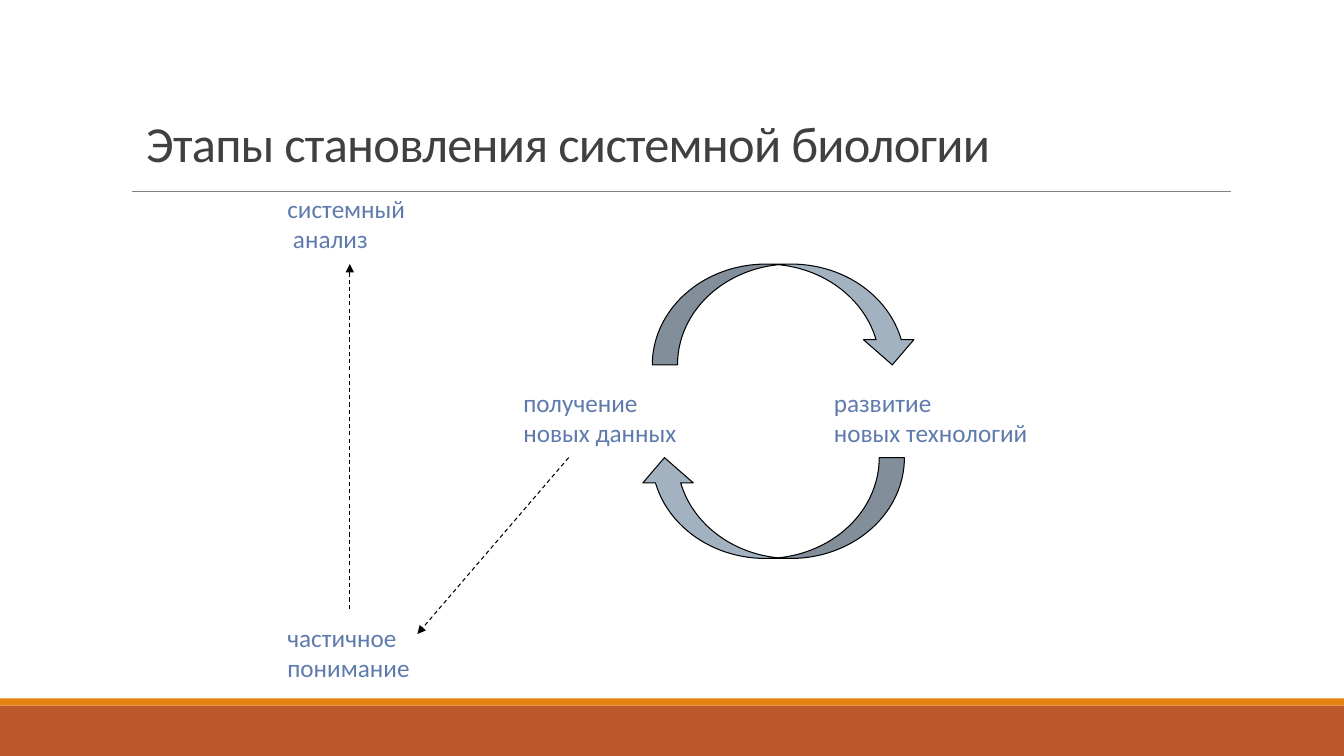
from dataclasses import dataclass

from lxml import etree
from pptx import Presentation
from pptx.dml.color import RGBColor
from pptx.enum.dml import MSO_LINE
from pptx.enum.shapes import MSO_CONNECTOR, MSO_SHAPE
from pptx.enum.text import MSO_ANCHOR, MSO_AUTO_SIZE, PP_ALIGN
from pptx.oxml.ns import qn
from pptx.util import Inches, Pt

RECT = MSO_SHAPE.RECTANGLE
CURVED_ARROW = MSO_SHAPE.CURVED_DOWN_ARROW
STRAIGHT = MSO_CONNECTOR.STRAIGHT
DASH = MSO_LINE.DASH
BOTTOM, TOP = MSO_ANCHOR.BOTTOM, MSO_ANCHOR.TOP
LEFT = PP_ALIGN.LEFT
FIT_SHAPE, NO_FIT = MSO_AUTO_SIZE.SHAPE_TO_FIT_TEXT, MSO_AUTO_SIZE.NONE
TITLE_ONLY = 5


@dataclass(frozen=True)
class Theme:
    font: str = "Calibri"
    title_size: float = 36
    label_size: float = 18
    title: str = "404040"
    label: str = "5F7BAE"
    band: str = "BD582C"
    stripe: str = "E48312"
    rule: str = "808080"
    arrow: str = "A3B2C1"
    outline: str = "000000"
    rule_width: float = 0.5
    line_width: float = 0.75


THEME = Theme()


def rgb(value):
    return RGBColor.from_string(value)


def add_run(p, text, size, color):
    r = p.add_run()
    r.text = text
    r.font.name = THEME.font
    r.font.size = Pt(size)
    r.font.color.rgb = rgb(color)
    return r


def add_bar(s, x, y, w, h, color):
    sp = s.shapes.add_shape(RECT, Inches(x), Inches(y), Inches(w), Inches(h))
    sp.shadow.inherit = False
    sp.fill.solid()
    sp.fill.fore_color.rgb = rgb(color)
    sp.line.fill.background()


def add_line(s, start, end, color, width):
    ends = [Inches(v) for v in (*start, *end)]
    line = s.shapes.add_connector(STRAIGHT, *ends)
    line.line.color.rgb = rgb(color)
    line.line.width = Pt(width)
    etree.SubElement(line._element.spPr, qn("a:effectLst"))
    return line


def add_dashed_arrow(s, start, end):
    line = add_line(s, start, end, THEME.outline, THEME.line_width)
    line.line.dash_style = DASH
    ln = line.line._get_or_add_ln()
    etree.SubElement(ln, qn("a:tailEnd"), type="triangle")


def add_label(s, x, y, w, lines):
    sp = s.shapes.add_textbox(Inches(x), Inches(y), Inches(w), Inches(0.71))
    tf = sp.text_frame
    tf.margin_left = tf.margin_right = Inches(0.05)
    tf.margin_top = tf.margin_bottom = Inches(0.05)
    tf.vertical_anchor = TOP
    tf.word_wrap = False
    tf.auto_size = FIT_SHAPE
    for i, text in enumerate(lines):
        p = tf.add_paragraph() if i else tf.paragraphs[0]
        p.alignment = LEFT
        add_run(p, text, THEME.label_size, THEME.label)


def add_cycle_arrow(s, x, y, rotation):
    sp = s.shapes.add_shape(
        CURVED_ARROW, Inches(x), Inches(y), Inches(2.63), Inches(1)
    )
    sp.rotation = rotation
    sp.shadow.inherit = False
    sp.fill.solid()
    sp.fill.fore_color.rgb = rgb(THEME.arrow)
    sp.line.color.rgb = rgb(THEME.outline)
    sp.line.width = Pt(THEME.line_width)


def add_footer(s, x, y, w, h):
    stripe = 0.07
    add_bar(s, x, y + stripe, w, h - stripe, THEME.band)
    add_bar(s, x, y, w, stripe, THEME.stripe)


def add_header(s, x, y, w, h, text):
    sp = s.shapes.title
    sp.left, sp.top = Inches(x), Inches(y)
    sp.width, sp.height = Inches(w), Inches(h)
    tf = sp.text_frame
    tf.word_wrap = True
    tf.auto_size = NO_FIT
    tf.vertical_anchor = BOTTOM
    p = tf.paragraphs[0]
    p.alignment = LEFT
    p.line_spacing = 0.85
    r = add_run(p, text, THEME.title_size, THEME.title)
    r.font._element.set("spc", "-50")
    rule_x, rule_y = x - 0.04, y + h + 0.14
    add_line(s, (rule_x, rule_y), (rule_x + 10.9, rule_y),
             THEME.rule, THEME.rule_width)


def add_cycle(s, x, y):
    add_label(s, x, y + 1.17, 1.75, ("получение", "новых данных"))
    add_label(s, x + 3.08, y + 1.17, 2.24, ("развитие", "новых технологий"))
    add_cycle_arrow(s, x + 1.33, y, 0)
    add_cycle_arrow(s, x + 1.2, y + 1.92, 180)


def add_stages(s, x, y):
    add_label(s, x, y, 1.4, ("системный", " анализ"))
    add_label(s, x, y + 4.25, 1.45, ("частичное", "понимание"))
    add_dashed_arrow(s, (x + 2.84, y + 2.67), (x + 1.34, y + 4.42))
    add_dashed_arrow(s, (x + 0.67, y + 4.17), (x + 0.67, y + 0.75))


def main():
    prs = Presentation()
    prs.slide_width, prs.slide_height = Inches(13.33), Inches(7.5)
    s = prs.slides.add_slide(prs.slide_layouts[TITLE_ONLY])
    add_footer(s, 0, 6.93, 13.33, 0.57)
    add_header(s, 1.35, 0.44, 9.32, 1.32, "Этапы становления системной биологии")
    add_cycle(s, 5.14, 2.62)
    add_stages(s, 2.8, 1.87)
    prs.save("out.pptx")


if __name__ == "__main__":
    main()
